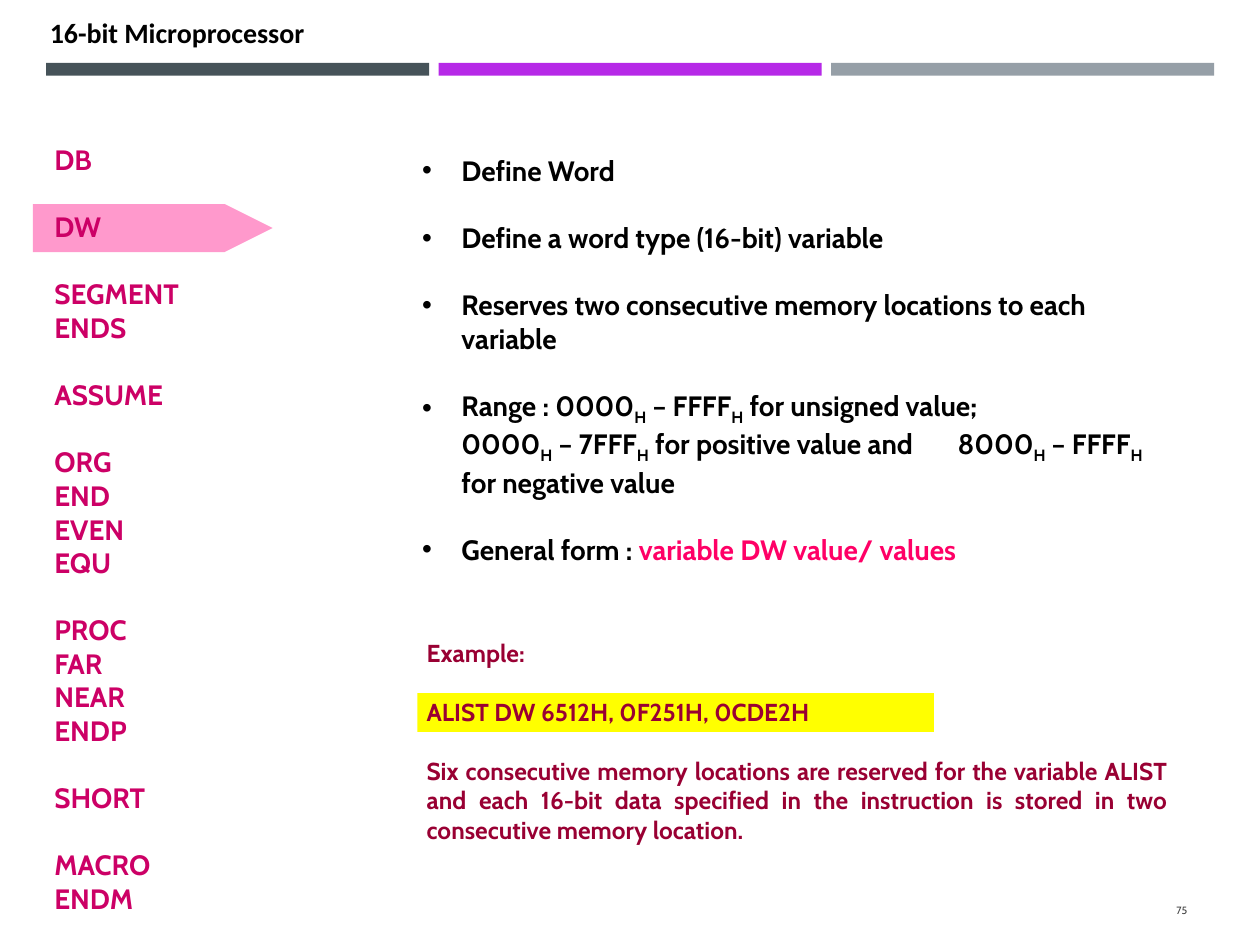
from lxml import etree
from pptx import Presentation
from pptx.dml.color import RGBColor
from pptx.enum.shapes import MSO_SHAPE
from pptx.enum.text import MSO_ANCHOR, MSO_AUTO_SIZE, PP_ALIGN
from pptx.oxml.ns import qn
from pptx.util import Pt

RECT = MSO_SHAPE.RECTANGLE
POINTER = MSO_SHAPE.FLOWCHART_OFFPAGE_CONNECTOR
TOP, MIDDLE = MSO_ANCHOR.TOP, MSO_ANCHOR.MIDDLE
LEFT, CENTER = PP_ALIGN.LEFT, PP_ALIGN.CENTER
RIGHT, JUSTIFY = PP_ALIGN.RIGHT, PP_ALIGN.JUSTIFY

COLORS = {
    "slate": "465359", "purple": "B629E7", "gray": "969FA7",
    "yellow": "FFFF00", "pink": "FF99CC", "black": "000000",
    "directive": "CC0066", "syntax": "FF0066", "example": "990033",
    "number": "404040",
}
BREAK = "\n"
SUB = "sub"


class Deck:
    """Holds the text style and the slide being built."""

    def __init__(self, slide, font="Cabin"):
        self.slide = slide
        self.font = font

    def shape(self, kind, x, y, w, h, color, rotation=0):
        s = self.slide.shapes.add_shape(kind, Pt(x), Pt(y), Pt(w), Pt(h))
        s.shadow.inherit = False
        s.fill.solid()
        s.fill.fore_color.rgb = RGBColor.from_string(COLORS[color])
        s.line.fill.background()
        s.rotation = rotation

    def place(self, sp, x, y, w, h, anchor=TOP):
        sp.left, sp.top, sp.width, sp.height = Pt(x), Pt(y), Pt(w), Pt(h)
        tf = sp.text_frame
        tf.word_wrap = True
        tf.auto_size = MSO_AUTO_SIZE.NONE
        tf.vertical_anchor = anchor
        return tf

    def textbox(self, x, y, w, h, anchor=TOP):
        sp = self.slide.shapes.add_textbox(0, 0, 0, 0)
        return self.place(sp, x, y, w, h, anchor)

    def paragraph(self, tf, runs, size, color, first, gap=0, align=LEFT,
                  bold=True, font=None):
        """Add runs given as (text, style); a style is None, SUB or a color."""
        p = tf.paragraphs[0] if first else tf.add_paragraph()
        p.alignment = align
        p.space_before = Pt(0 if first else gap)
        for text, style in runs:
            if text == BREAK:
                p.add_line_break()
                etree.SubElement(p._p[-1], qn("a:rPr"), sz=str(size * 100))
                continue
            r = p.add_run()
            r.text = text
            f = r.font
            f.name, f.size, f.bold = font or self.font, Pt(size), bold
            f.color.rgb = RGBColor.from_string(COLORS.get(style, COLORS[color]))
            if style == SUB:
                r._r.get_or_add_rPr().set("baseline", "-25000")
        return p

    def hang(self, p, indent, tab):
        """Set a hanging indent and one left tab stop."""
        pPr = p._p.get_or_add_pPr()
        pPr.set("marL", str(Pt(indent)))
        pPr.set("indent", str(-Pt(indent)))
        tabs = etree.SubElement(pPr, qn("a:tabLst"))
        etree.SubElement(tabs, qn("a:tab"), pos=str(Pt(tab)), algn="l")


def hex_range(low, high):
    return [(low, None), ("H", SUB), (f" – {high}", None), ("H", SUB)]


DIRECTIVES = [
    ["DB"], ["DW"], ["SEGMENT", "ENDS"], ["ASSUME"],
    ["ORG", "END", "EVEN", "EQU"], ["PROC", "FAR", "NEAR", "ENDP"],
    ["SHORT"], ["MACRO", "ENDM"],
]
POINTS = [
    [("Define Word", None)],
    [("Define a word type (16-bit) variable", None)],
    [("Reserves two consecutive memory locations to each variable", None)],
    [("Range : ", None), *hex_range("0000", "FFFF"),
     (" for unsigned value;", None), (BREAK, None),
     *hex_range("0000", "7FFF"), (" for positive value and\t", None),
     *hex_range("8000", "FFFF"), (" for negative value", None)],
    [("General form : ", None), ("variable DW value/ values", "syntax")],
]
EXAMPLE = [
    "Example:",
    "ALIST DW 6512H, 0F251H, 0CDE2H",
    "Six consecutive memory locations are reserved for the variable ALIST "
    "and each 16-bit data specified in the instruction is stored in two "
    "consecutive memory location.",
]


def main():
    prs = Presentation()
    prs.slide_width, prs.slide_height = Pt(720), Pt(540)
    s = prs.slides.add_slide(prs.slide_layouts[1])
    deck = Deck(s)

    for i, color in enumerate(["slate", "purple", "gray"]):
        deck.shape(RECT, 26.4 + 224.3 * i, 36, 218.9, 7.3, color)
    deck.shape(RECT, 238.5, 396, 295.2, 22.3, "yellow")
    deck.shape(POINTER, 73.6, 61.8, 27.4, 137, "pink", rotation=270)

    tf = deck.place(s.shapes.title, 5, 5, 192.5, 26.6)
    deck.paragraph(tf, [("16-bit Microprocessor", None)], 16, "black", True,
                   align=CENTER, font="Calibri")

    tf = deck.place(s.placeholders[1], 234, 84.2, 444.2, 275)
    for i, runs in enumerate(POINTS):
        p = deck.paragraph(tf, runs, 16, "black", i == 0, gap=19.2)
        deck.hang(p, 22.5, 306)

    tf = deck.textbox(236.7, 361, 437.8, 125.3)
    for i, text in enumerate(EXAMPLE):
        deck.paragraph(tf, [(text, None)], 14, "example", i == 0, gap=16.9,
                       align=JUSTIFY)

    tf = deck.textbox(24, 78, 117.4, 448.6)
    for i, group in enumerate(DIRECTIVES):
        for j, name in enumerate(group):
            deck.paragraph(tf, [(name, None)], 16, "directive", i + j == 0,
                           gap=0 if j else 19.2)

    tf = deck.textbox(623.5, 506, 62, 28.8, MIDDLE)
    deck.paragraph(tf, [("75", None)], 6, "number", True, align=RIGHT,
                   bold=False)

    prs.save("out.pptx")


if __name__ == "__main__":
    main()
